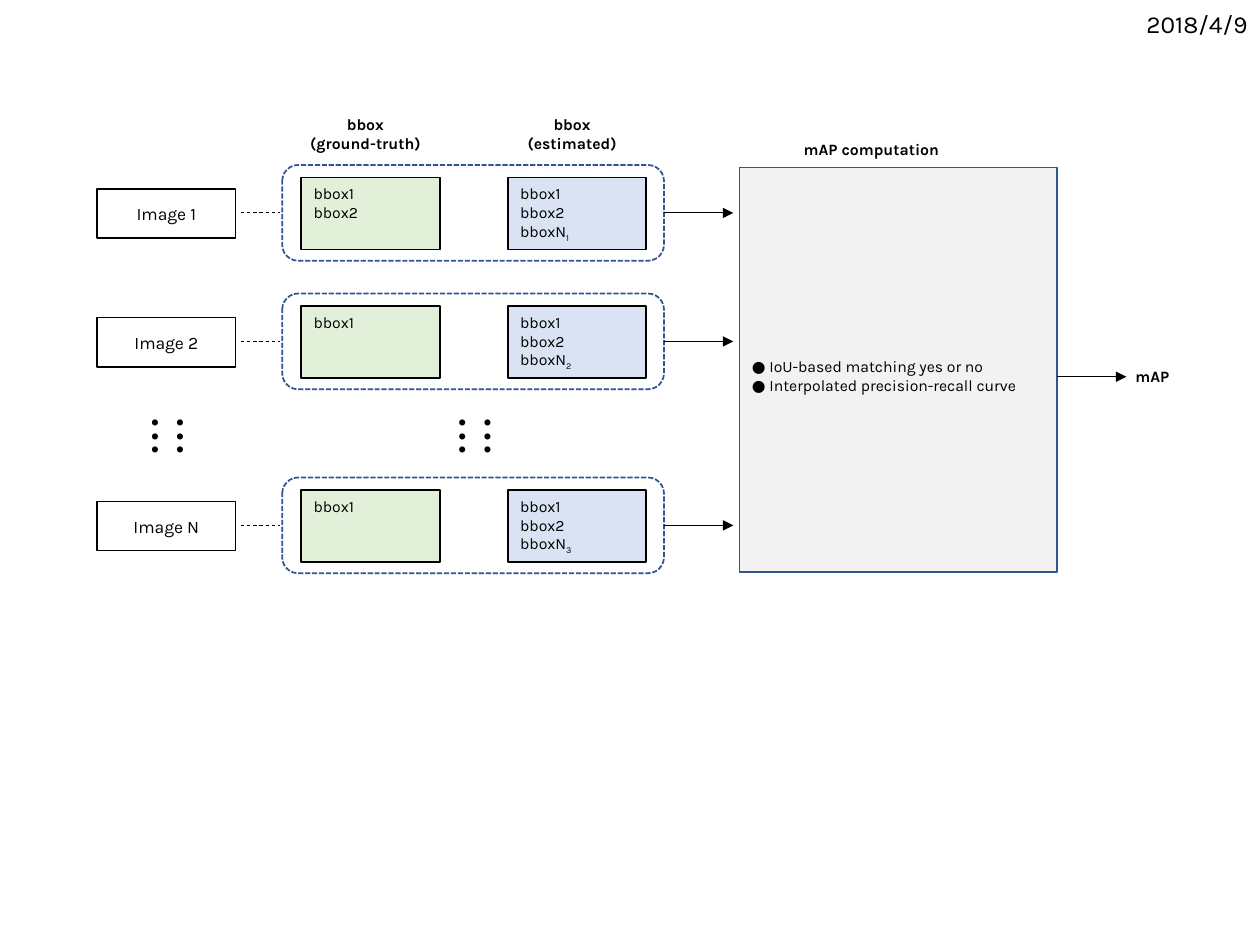
from lxml import etree
from pptx import Presentation
from pptx.dml.color import RGBColor
from pptx.enum.dml import MSO_LINE
from pptx.enum.shapes import MSO_CONNECTOR, MSO_SHAPE
from pptx.enum.text import MSO_ANCHOR, PP_ALIGN
from pptx.oxml.ns import qn
from pptx.util import Inches, Pt

BLACK = RGBColor(0x00, 0x00, 0x00)
BLUE = RGBColor(0x32, 0x54, 0x91)
GREEN_FILL = RGBColor(0xE2, 0xF0, 0xD9)
BLUE_FILL = RGBColor(0xDA, 0xE3, 0xF3)
GRAY_FILL = RGBColor(0xF2, 0xF2, 0xF2)

LEFT, CENTER, RIGHT = PP_ALIGN.LEFT, PP_ALIGN.CENTER, PP_ALIGN.RIGHT
TOP, MIDDLE = MSO_ANCHOR.TOP, MSO_ANCHOR.MIDDLE
RECTANGLE, ROUNDED = MSO_SHAPE.RECTANGLE, MSO_SHAPE.ROUNDED_RECTANGLE
STRAIGHT = MSO_CONNECTOR.STRAIGHT
DASH, SHORT_DASH = MSO_LINE.DASH, MSO_LINE.SQUARE_DOT

FONT = "Karla"
RIGHT_SIDE = 3
ELLIPSIS_DOTS = "∙∙∙∙∙∙"

ROWS = [
    (1.69, "Image 1", ["bbox1", "bbox2"], "1"),
    (2.71, "Image 2", ["bbox1"], "2"),
    (4.17, "Image N", ["bbox1"], "3"),
]


def add_span(para, text, size, bold=False, subscript=False):
    span = para.add_run()
    span.text = text
    span.font.name = FONT
    span.font.size = Pt(size)
    span.font.bold = bold
    span.font.color.rgb = BLACK
    if subscript:
        span._r.get_or_add_rPr().set("baseline", "-25000")


def write_lines(box, lines, size, align=LEFT, anchor=MIDDLE, bold=False):
    frame = box.text_frame
    frame.word_wrap = True
    frame.vertical_anchor = anchor
    for index, line in enumerate(lines):
        para = frame.add_paragraph() if index else frame.paragraphs[0]
        para.alignment = align
        add_span(para, line, size, bold)


def add_label(page, position, lines, size=9, align=CENTER, bold=False):
    box = page.shapes.add_textbox(*map(Inches, position))
    write_lines(box, lines, size, align, bold=bold)
    return box


def add_box(page, kind, position, line_color=BLACK, fill=None, dash=None):
    box = page.shapes.add_shape(kind, *map(Inches, position))
    box.shadow.inherit = False
    if fill is None:
        box.fill.background()
    else:
        box.fill.solid()
        box.fill.fore_color.rgb = fill
    box.line.color.rgb = line_color
    box.line.width = Pt(1)
    if dash is not None:
        box.line.dash_style = dash
    return box


def add_line(page, left, right, y, dash=None, arrow=False):
    line = page.shapes.add_connector(
        STRAIGHT, Inches(left), Inches(y), Inches(right), Inches(y))
    line.line.color.rgb = BLACK
    line.line.width = Pt(0.5)
    if dash is not None:
        line.line.dash_style = dash
    if arrow:
        outline = line.line._get_or_add_ln()
        etree.SubElement(outline, qn("a:tailEnd"), type="triangle")
    etree.SubElement(line._element.spPr, qn("a:effectLst"))
    return line


def add_image_row(page, center, name, truths, subscript):
    group = add_box(page, ROUNDED, (2.24, center - 0.38, 3.03, 0.76),
                    BLUE, dash=SHORT_DASH)
    image = add_box(page, RECTANGLE, (0.77, center - 0.19, 1.1, 0.39))
    write_lines(image, [name], 10, CENTER)

    box_top = center - 0.28
    truth = add_box(page, RECTANGLE, (2.39, box_top, 1.1, 0.57),
                    fill=GREEN_FILL)
    write_lines(truth, truths, 9, anchor=TOP)
    estimate = add_box(page, RECTANGLE, (4.03, box_top, 1.1, 0.57),
                       fill=BLUE_FILL)
    write_lines(estimate, ["bbox1", "bbox2", "bboxN"], 9, anchor=TOP)
    add_span(estimate.text_frame.paragraphs[-1], subscript, 9, subscript=True)

    add_line(page, 1.91, 2.22, center, dash=DASH)
    arrow = add_line(page, 5.27, 5.82, center, arrow=True)
    arrow.begin_connect(group, RIGHT_SIDE)


def add_computation(page):
    add_box(page, RECTANGLE, (5.87, 1.33, 2.52, 3.21), BLUE, GRAY_FILL)
    add_label(page, (5.93, 1.03, 1.97, 0.31), ["mAP computation"], bold=True)
    add_label(page, (5.87, 2.71, 2.56, 0.55),
              ["● IoU-based matching yes or no",
               "● Interpolated precision-recall curve"], align=LEFT)
    add_line(page, 8.39, 8.94, 2.99, arrow=True)
    add_label(page, (8.87, 2.83, 0.55, 0.31), ["mAP"], bold=True)


def main():
    deck = Presentation()
    deck.slide_width, deck.slide_height = Inches(10), Inches(7.5)
    page = deck.slides.add_slide(deck.slide_layouts.get_by_name("Blank"))

    add_label(page, (8.29, 0, 1.71, 0.37), ["2018/4/9"], 14, RIGHT)
    for left, kind in ((2.31, "(ground-truth)"), (3.95, "(estimated)")):
        add_label(page, (left, 0.78, 1.18, 0.57), ["bbox", kind], bold=True)
    for row in ROWS:
        add_image_row(page, *row)
    for left in (1.02, 3.46):
        dots = add_label(page, (left, 3.27, 0.59, 0.39), [ELLIPSIS_DOTS], 12)
        dots.rotation = 270
    add_computation(page)

    deck.save("out.pptx")


if __name__ == "__main__":
    main()
